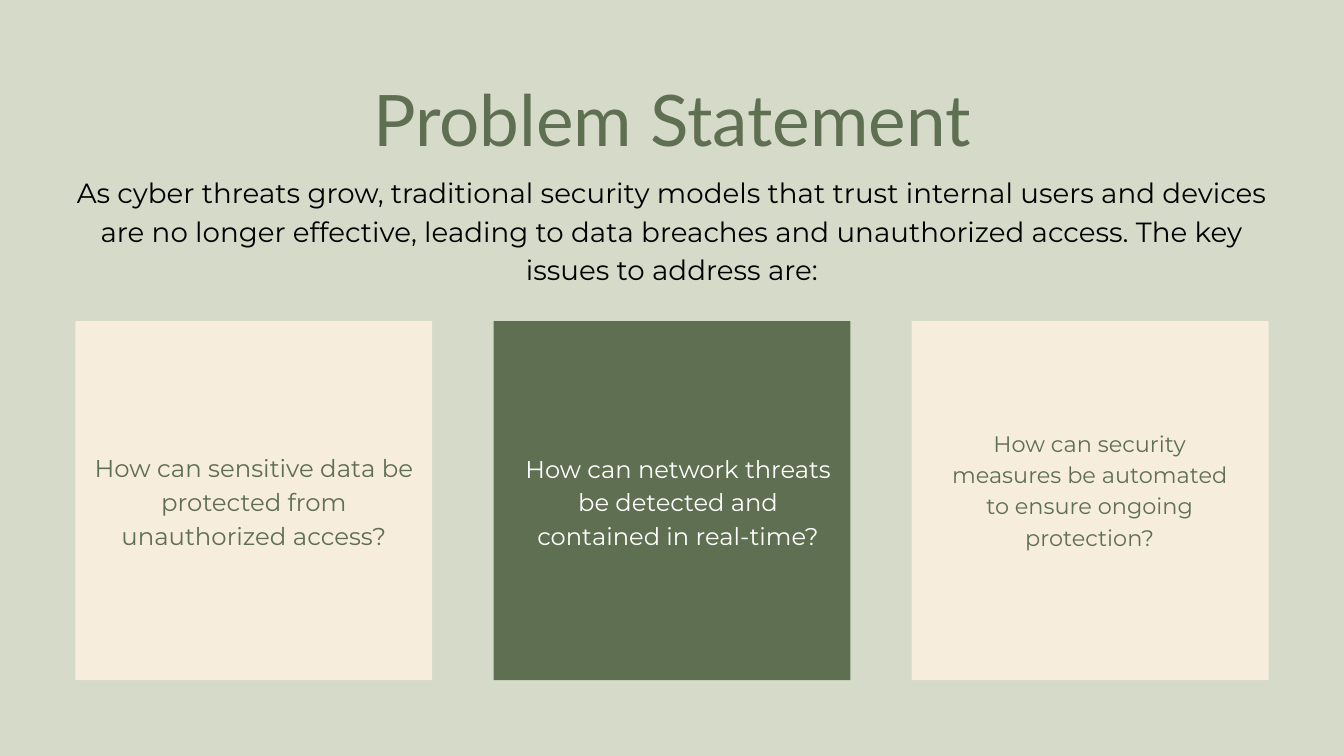
"""Build the Problem Statement slide with three question cards."""
from dataclasses import dataclass

import pptx
import pptx.dml.color
import pptx.enum.shapes
import pptx.enum.text
import pptx.util

Pt = pptx.util.Pt
COLORS = {
    "background": "D6DAC8",
    "green": "5F6F52",
    "cream": "F6EDDD",
    "black": "000000",
    "white": "FFFFFF",
}
MARGIN = 80.8
CONTENT_W = 1278.4
CARD_W, CARD_H, CARD_TOP = 382.4, 384.5, 344.2
TEXT_BOTTOM = 586.8


@dataclass
class Card:
    text: str
    fill: str
    color: str
    size: float
    leading: float
    text_left: float
    text_w: float
    lines: int


CARDS = [
    Card("How can sensitive data be protected from unauthorized access?",
         "cream", "green", 26.1, 36.6, 100.8, 342.7, 3),
    Card("How can network threats be detected and contained in real-time?",
         "green", "white", 25.9, 36.3, 556.6, 339.8, 3),
    Card("How can security measures be automated to ensure ongoing protection?",
         "cream", "green", 24, 33.6, 1010.2, 314.6, 4),
]


def rgb(name: str) -> pptx.dml.color.RGBColor:
    return pptx.dml.color.RGBColor.from_string(COLORS[name])


def place(sp, left: float, top: float, width: float, height: float) -> None:
    sp.left, sp.top, sp.width, sp.height = Pt(left), Pt(top), Pt(width), Pt(height)


def write(sp, text: str, *, size: float, leading: float, color: str,
          font: str = "Montserrat") -> None:
    tf = sp.text_frame
    tf.margin_left = tf.margin_top = tf.margin_right = tf.margin_bottom = 0
    tf.word_wrap = True
    tf.auto_size = pptx.enum.text.MSO_AUTO_SIZE.NONE
    tf.vertical_anchor = pptx.enum.text.MSO_ANCHOR.TOP
    p = tf.paragraphs[0]
    p.alignment = pptx.enum.text.PP_ALIGN.CENTER
    p.line_spacing = Pt(leading)
    p.space_before = Pt(0)
    r = p.add_run()
    r.text = text
    r.font.size = Pt(size)
    r.font.name = font
    r.font.color.rgb = rgb(color)


def add_text(s, left: float, top: float, width: float, height: float,
             text: str, **style) -> None:
    sp = s.shapes.add_textbox(Pt(left), Pt(top), Pt(width), Pt(height))
    write(sp, text, **style)


def add_card(s, card: Card, left: float) -> None:
    sp = s.shapes.add_shape(pptx.enum.shapes.MSO_SHAPE.RECTANGLE,
                            Pt(left), Pt(CARD_TOP), Pt(CARD_W), Pt(CARD_H))
    sp.shadow.inherit = False
    sp.fill.solid()
    sp.fill.fore_color.rgb = rgb(card.fill)
    sp.line.fill.background()
    height = card.lines * card.leading - 3.2
    add_text(s, card.text_left, TEXT_BOTTOM - height, card.text_w, height,
             card.text, size=card.size, leading=card.leading, color=card.color)


def main() -> None:
    prs = pptx.Presentation()
    prs.slide_width, prs.slide_height = Pt(1440), Pt(810)
    s = prs.slides.add_slide(prs.slide_layouts[5])
    s.background.fill.solid()
    s.background.fill.fore_color.rgb = rgb("background")

    title = s.shapes.title
    place(title, MARGIN, 79.9, CONTENT_W, 91.4)
    write(title, "Problem Statement", size=76.1, leading=92.1,
          color="green", font="Lato")
    add_text(s, MARGIN, 182.2, CONTENT_W, 122.4,
             "As cyber threats grow, traditional security models that trust "
             "internal users and devices are no longer effective, leading to "
             "data breaches and unauthorized access. The key issues to address are:",
             size=29.7, leading=41.6, color="black")

    pitch = (CONTENT_W - CARD_W) / (len(CARDS) - 1)
    for i, card in enumerate(CARDS):
        add_card(s, card, MARGIN + i * pitch)
    prs.save("out.pptx")


if __name__ == "__main__":
    main()
